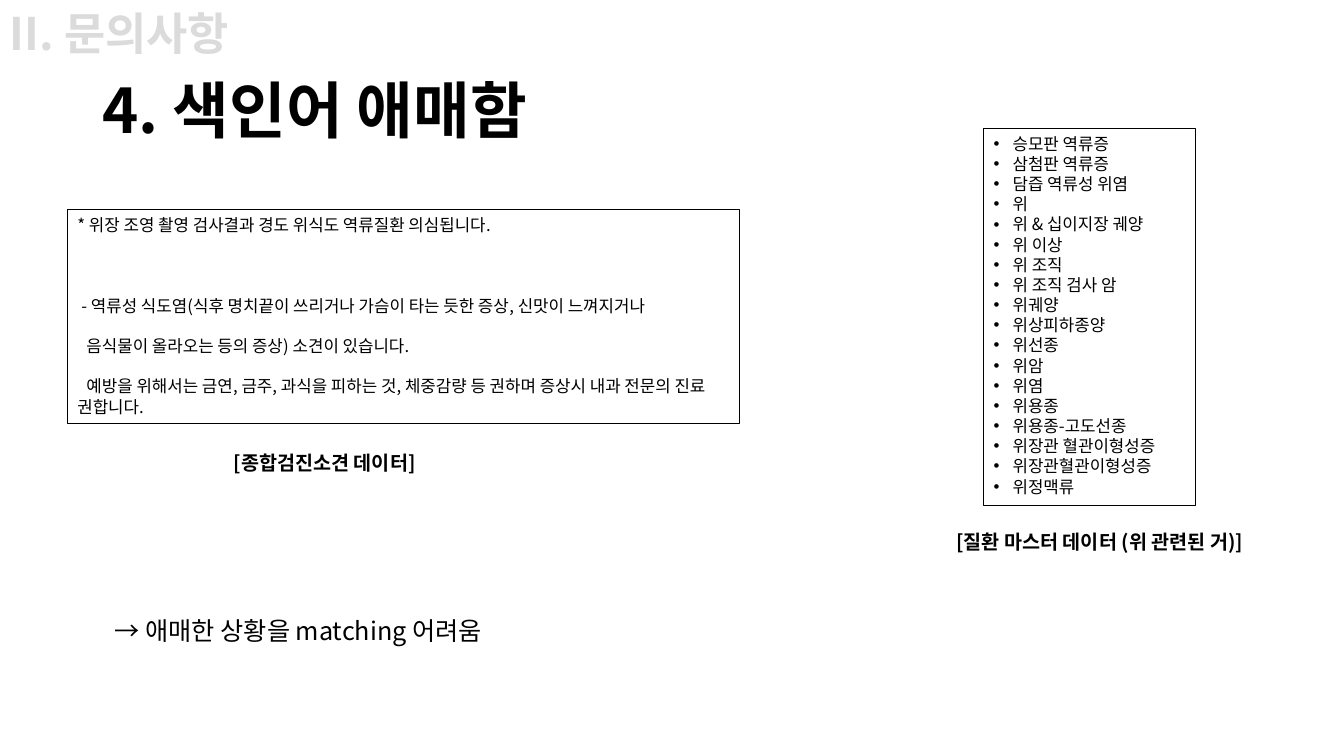
from lxml import etree
from pptx import Presentation
from pptx import util as u
from pptx.dml.color import RGBColor
from pptx.enum import text
from pptx.oxml.ns import qn

FONT = "Noto Sans CJK KR"
BLACK, GREY = "000000", "DBDBDB"

# Content
TITLE = "4. 색인어 애매함"
FINDINGS = [  # text, space before (pt), first-line indent (cm)
    ("* 위장 조영 촬영 검사결과 경도 위식도 역류질환 의심됩니다.", 0, 0),
    ("- 역류성 식도염(식후 명치끝이 쓰리거나 가슴이 타는 듯한 증상, 신맛이 느껴지거나", 43.2, 0.1),
    ("음식물이 올라오는 등의 증상) 소견이 있습니다.", 14.4, 0.23),
    ("예방을 위해서는 금연, 금주, 과식을 피하는 것, 체중감량 등 권하며 증상시 내과 전문의 진료 권합니다.", 14.4, 0.23),
]
DISEASES = [
    "승모판 역류증", "삼첨판 역류증", "담즙 역류성 위염", "위", "위 & 십이지장 궤양",
    "위 이상", "위 조직", "위 조직 검사 암", "위궤양", "위상피하종양", "위선종", "위암",
    "위염", "위용종", "위용종-고도선종", "위장관 혈관이형성증", "위장관혈관이형성증", "위정맥류",
]
LABELS = [  # text, (left, top, width, height) in cm, size, colour, bold
    ("[종합검진소견 데이터]", (5.64, 11.25, 5.54, 0.86), 14, BLACK, True),
    ("[질환 마스터 데이터 (위 관련된 거)]", (23.85, 13.23, 8.59, 0.86), 14, BLACK, True),
    ("→ 애매한 상황을 matching 어려움", (2.64, 15.39, 10.52, 1.02), 18, BLACK, False),
    ("II. 문의사항", (0, 0.03, 6.48, 1.63), 32, GREY, True),
]


def rgb(colour):
    return RGBColor.from_string(colour)


def format_runs(frame, size, colour=BLACK, bold=False):
    for paragraph in frame.paragraphs:
        for run in paragraph.runs:
            run.font.name = FONT
            run.font.size = u.Pt(size)
            run.font.bold = bold
            run.font.color.rgb = rgb(colour)
            latin = run.font._element.find(qn("a:latin"))
            latin.addnext(latin.makeelement(qn("a:ea"), {"typeface": FONT}))


def add_text(slide, lines, place, size, colour=BLACK, bold=False, framed=False):
    box = slide.shapes.add_textbox(*map(u.Cm, place))
    frame = box.text_frame
    frame.text = "\n".join(lines)
    frame.word_wrap = framed
    frame.auto_size = text.MSO_AUTO_SIZE.SHAPE_TO_FIT_TEXT
    format_runs(frame, size, colour, bold)
    if framed:
        box.line.color.rgb = rgb(BLACK)
        box.line.width = u.Pt(0.75)
    return frame


def set_indent(paragraph, left, first):
    properties = paragraph._p.get_or_add_pPr()
    properties.set("marL", str(u.Cm(left)))
    properties.set("indent", str(u.Cm(first)))
    return properties


def main():
    deck = Presentation()
    deck.slide_width, deck.slide_height = u.Cm(33.87), u.Cm(19.05)
    slide = deck.slides.add_slide(deck.slide_layouts[5])

    # Title
    title = slide.shapes.title
    title.left, title.top, title.width, title.height = map(u.Cm, (2.33, 1.01, 29.21, 3.68))
    title.text_frame.text = TITLE
    title.text_frame.vertical_anchor = text.MSO_ANCHOR.MIDDLE
    title.text_frame.paragraphs[0].alignment = text.PP_ALIGN.LEFT
    title.text_frame.paragraphs[0].line_spacing = 0.9
    format_runs(title.text_frame, 44, bold=True)

    # Check-up findings
    findings = add_text(slide, [line for line, _, _ in FINDINGS],
                        (1.7, 5.29, 16.95, 5.39), 12, framed=True)
    for paragraph, (_, gap, indent) in zip(findings.paragraphs, FINDINGS):
        paragraph.space_before = u.Pt(gap)
        set_indent(paragraph, 0, indent)

    # Bulleted disease list
    diseases = add_text(slide, DISEASES, (24.79, 3.24, 5.34, 9.5), 12, framed=True)
    for paragraph in diseases.paragraphs:
        properties = set_indent(paragraph, 0.48, -0.48)
        etree.SubElement(properties, qn("a:buFont"), typeface="Arial")
        etree.SubElement(properties, qn("a:buChar"), char="•")

    # Captions, conclusion and section heading
    for label, place, size, colour, bold in LABELS:
        add_text(slide, [label], place, size, colour, bold)

    deck.save("out.pptx")


if __name__ == "__main__":
    main()
